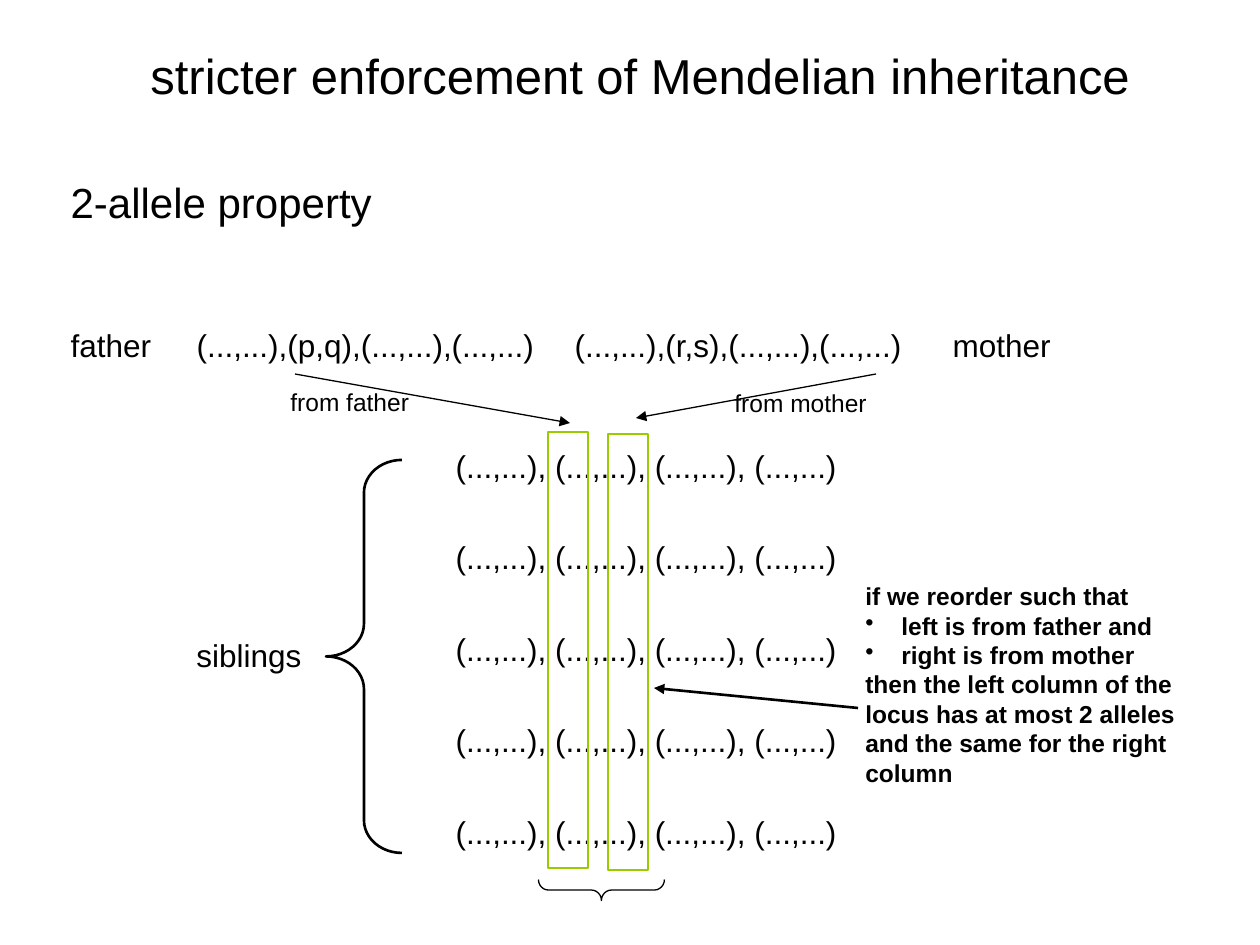
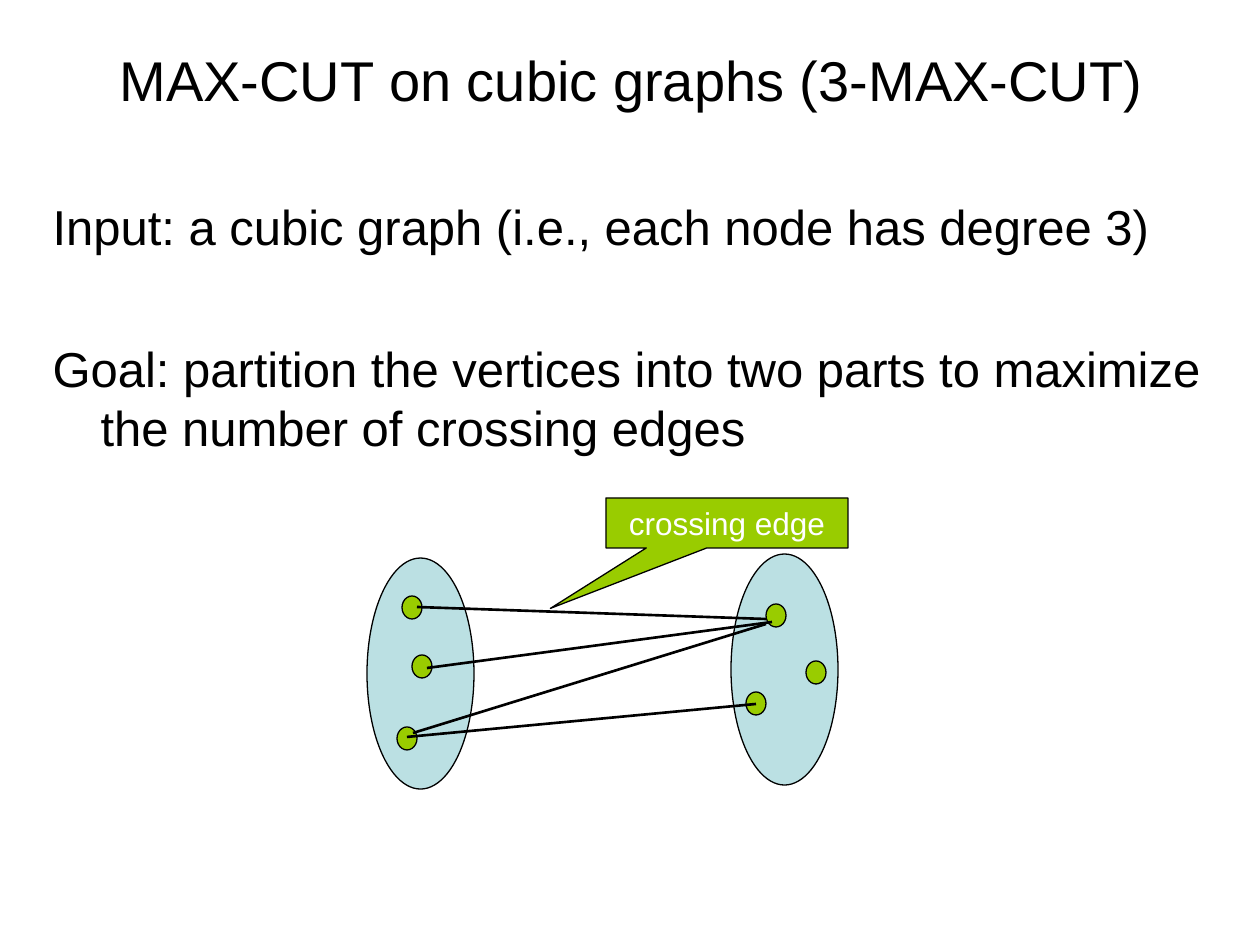
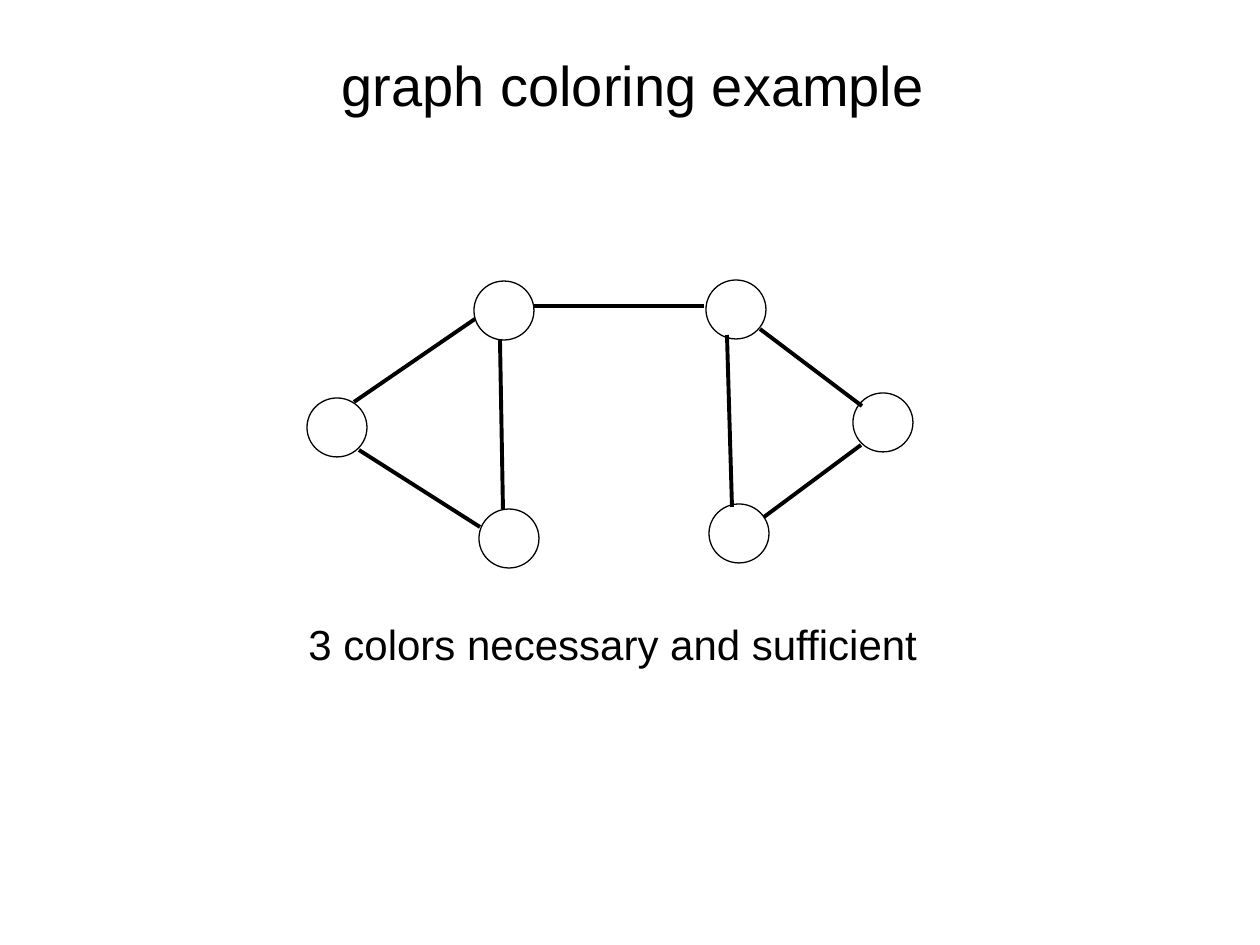
from lxml import etree
from pptx import Presentation
from pptx import util as u
from pptx.dml.color import RGBColor
from pptx.enum import shapes, text
from pptx.oxml import ns

PX = 914400 / 126
COLORS = {"ink": "000000", "green": "99CC00", "pale": "BBE0E3", "white": "FFFFFF"}
FONT = "Arial"
LINE_HEIGHT = 1.2
LOCI = "(...,...), (...,...), (...,...), (...,...)"
SHAPE = shapes.MSO_SHAPE


def px(length):
    return u.Emu(round(length * PX))


def rgb(name):
    return RGBColor.from_string(COLORS[name])


def add_xml(parent, tag, **attributes):
    return etree.SubElement(parent, ns.qn(tag), **attributes)


def move(shape, left, top, width, height):
    shape.left, shape.top = px(left), px(top)
    shape.width, shape.height = px(width), px(height)


# Text
def format_paragraph(paragraph, size, color="ink", bold=False, align="LEFT",
                     before=0, margin=0, indent=0, bullet=None, tabs=()):
    properties = paragraph._p.get_or_add_pPr()
    properties.set("marL", str(px(margin)))
    properties.set("indent", str(px(indent)))
    if bullet:
        add_xml(properties, "a:buChar", char=bullet)
    else:
        add_xml(properties, "a:buNone")
    if tabs:
        tab_list = add_xml(properties, "a:tabLst")
        for position in tabs:
            add_xml(tab_list, "a:tab", pos=str(px(position)), algn="l")
    paragraph.alignment = getattr(text.PP_ALIGN, align)
    paragraph.line_spacing = u.Pt(round(size * LINE_HEIGHT, 1))
    paragraph.space_before = u.Pt(before)
    for run in paragraph.runs:
        run.font.name, run.font.size = FONT, u.Pt(size)
        run.font.bold = bold
        run.font.color.rgb = rgb(color)


def fill_text(shape, lines, wrap=True, **shared):
    """Write (wording, format) lines, each adding to the shared format."""
    frame = shape.text_frame
    frame.text = "\n".join(wording for wording, _ in lines)
    frame.word_wrap = wrap
    frame.auto_size = text.MSO_AUTO_SIZE.NONE
    frame.vertical_anchor = text.MSO_ANCHOR.TOP
    for paragraph, (_, own) in zip(frame.paragraphs, lines):
        format_paragraph(paragraph, **{**shared, **own})


def add_label(slide, origin, box, lines, **shared):
    left, top, width, height = box
    label = slide.shapes.add_textbox(px(origin[0] + left), px(origin[1] + top),
                                     px(width), px(height))
    fill_text(label, lines, wrap=False, **shared)


# Shapes and lines
def add_outline(slide, origin, kind, box, fill=None, line="ink", weight=0.75):
    shape = slide.shapes.add_shape(kind, 0, 0, 0, 0)
    move(shape, origin[0] + box[0], origin[1] + box[1], *box[2:])
    shape.shadow.inherit = False
    if fill:
        shape.fill.solid()
        shape.fill.fore_color.rgb = rgb(fill)
    else:
        shape.fill.background()
    shape.line.color.rgb = rgb(line)
    shape.line.width = u.Pt(weight)
    return shape


def add_line(slide, origin, ends, weight, arrow=False):
    left, top = origin
    x1, y1, x2, y2 = ends
    connector = slide.shapes.add_connector(
        shapes.MSO_CONNECTOR.STRAIGHT, px(left + x1), px(top + y1), px(left + x2), px(top + y2))
    connector.line.color.rgb = rgb("ink")
    connector.line.width = u.Pt(weight)
    if arrow:
        add_xml(connector.line._get_or_add_ln(), "a:tailEnd", type="triangle")
    add_xml(connector._element.spPr, "a:effectLst")


def add_slide(presentation, layout, title, box, size):
    slide = presentation.slides.add_slide(presentation.slide_layouts[layout])
    move(slide.shapes.title, *box)
    fill_text(slide.shapes.title, [(title, {})], size=size, align="CENTER")
    return slide


def fill_body(slide, box, lines, **shared):
    body = slide.placeholders[1]
    move(body, *box)
    fill_text(body, lines, **shared)


# Slide 1
def draw_inheritance(slide, origin):
    for ends in [(17, 0, 292, 49), (598, 0, 358, 44)]:
        add_line(slide, origin, ends, 0.75, arrow=True)
    add_label(slide, origin, (0, 7, 144, 43), [("from father", {})], size=14)
    add_label(slide, origin, (444, 8, 158, 43), [("from mother", {})], size=14)


def draw_siblings(slide, origin):
    for left, top in [(364, 0), (424, 2)]:
        add_outline(slide, origin, SHAPE.RECTANGLE, (left, top, 40, 436),
                    line="green", weight=1.5)
    brace = add_outline(slide, origin, SHAPE.LEFT_BRACE, (142, 28, 76, 393), weight=1.5)
    brace.adjustments[0] = 0.43
    locus_brace = add_outline(slide, origin, SHAPE.LEFT_BRACE, (407, 395, 21, 126))
    locus_brace.adjustments[0] = 0.48
    locus_brace.rotation = 270
    add_label(slide, origin, (0, 198, 130, 50), [("siblings", {})], size=18)


def draw_reorder_note(slide, origin):
    item = {"bullet": "•", "margin": 36, "indent": -36}
    add_label(slide, origin, (199, 0, 339, 219), [
        ("if we reorder such that", {}),
        ("left is from father and", item),
        ("right is from mother", item),
        ("then the left column of the", {}),
        ("locus has at most 2 alleles", {}),
        ("and the same for the right", {}),
        ("column", {}),
    ], size=14, bold=True)
    add_line(slide, origin, (204, 133, 0, 113), 1.5, arrow=True)


def build_inheritance_slide(presentation):
    slide = add_slide(presentation, 1, "stricter enforcement of Mendelian inheritance",
                      (58, 39, 1164, 80), 28)
    parents = "father\t(...,...),(p,q),(...,...),(...,...)\t(...,...),(r,s),(...,...),(...,...)\tmother"
    sibling_rows = [(LOCI, {"margin": 385, "before": before})
                    for before in [47] + [30.75] * 4]
    fill_body(slide, (58, 170, 1164, 705), [
        ("2-allele property", {"size": 24}),
        (parents, {"before": 57, "tabs": (92, 686, 1026)}),
        *sibling_rows,
    ], size=18)
    draw_inheritance(slide, (278, 374))
    draw_siblings(slide, (184, 432))
    draw_reorder_note(slide, (654, 575))


# Slide 2
def draw_partition(slide, origin):
    for left, top in [(0, 60), (364, 56)]:
        add_outline(slide, origin, SHAPE.OVAL, (left, top, 107, 231), fill="pale")
    for left, top in [(35, 98), (45, 157), (30, 229), (399, 106), (439, 163), (379, 194)]:
        add_outline(slide, origin, SHAPE.OVAL, (left, top, 20, 23), fill="green")
    for ends in [(50, 109, 399, 121), (60, 170, 405, 124),
                 (40, 239, 389, 206), (46, 235, 399, 126)]:
        add_line(slide, origin, ends, 1.5)
    callout = add_outline(slide, origin, SHAPE.RECTANGULAR_CALLOUT, (239, 0, 242, 50),
                          fill="green")
    callout.adjustments[0], callout.adjustments[1] = -0.73, 1.71
    fill_text(callout, [("crossing edge", {})], size=18, color="white", align="CENTER")


def build_max_cut_slide(presentation):
    slide = add_slide(presentation, 1, "MAX-CUT on cubic graphs (3-MAX-CUT)",
                      (40, 39, 1183, 85), 32)
    fill_body(slide, (40, 190, 1183, 290), [
        ("Input: a cubic graph (i.e., each node has degree 3)", {}),
        ("Goal: partition the vertices into two parts to maximize the number of crossing edges",
         {"before": 47.6}),
    ], size=28, margin=48, indent=-48)
    draw_partition(slide, (367, 498))


# Slide 3
def draw_colored_graph(slide, origin):
    for left, top in [(0, 118), (167, 1), (399, 0), (546, 113), (402, 224), (172, 229)]:
        add_outline(slide, origin, SHAPE.OVAL, (left, top, 60, 59))
    for ends in [(47, 122, 168, 39), (227, 26, 397, 26), (52, 170, 173, 247),
                 (193, 60, 196, 229), (453, 49, 555, 126), (420, 55, 425, 227),
                 (554, 165, 457, 237)]:
        add_line(slide, origin, ends, 2.25)


def build_coloring_slide(presentation):
    slide = add_slide(presentation, 5, "graph coloring example", (35, 44, 1196, 85), 32)
    draw_colored_graph(slide, (307, 280))
    add_label(slide, (296, 612), (0, 0, 634, 63),
              [("3 colors necessary and sufficient", {})], size=24)


def main():
    presentation = Presentation()
    presentation.slide_width, presentation.slide_height = px(1260), px(945)
    build_inheritance_slide(presentation)
    build_max_cut_slide(presentation)
    build_coloring_slide(presentation)
    presentation.save("out.pptx")


if __name__ == "__main__":
    main()
